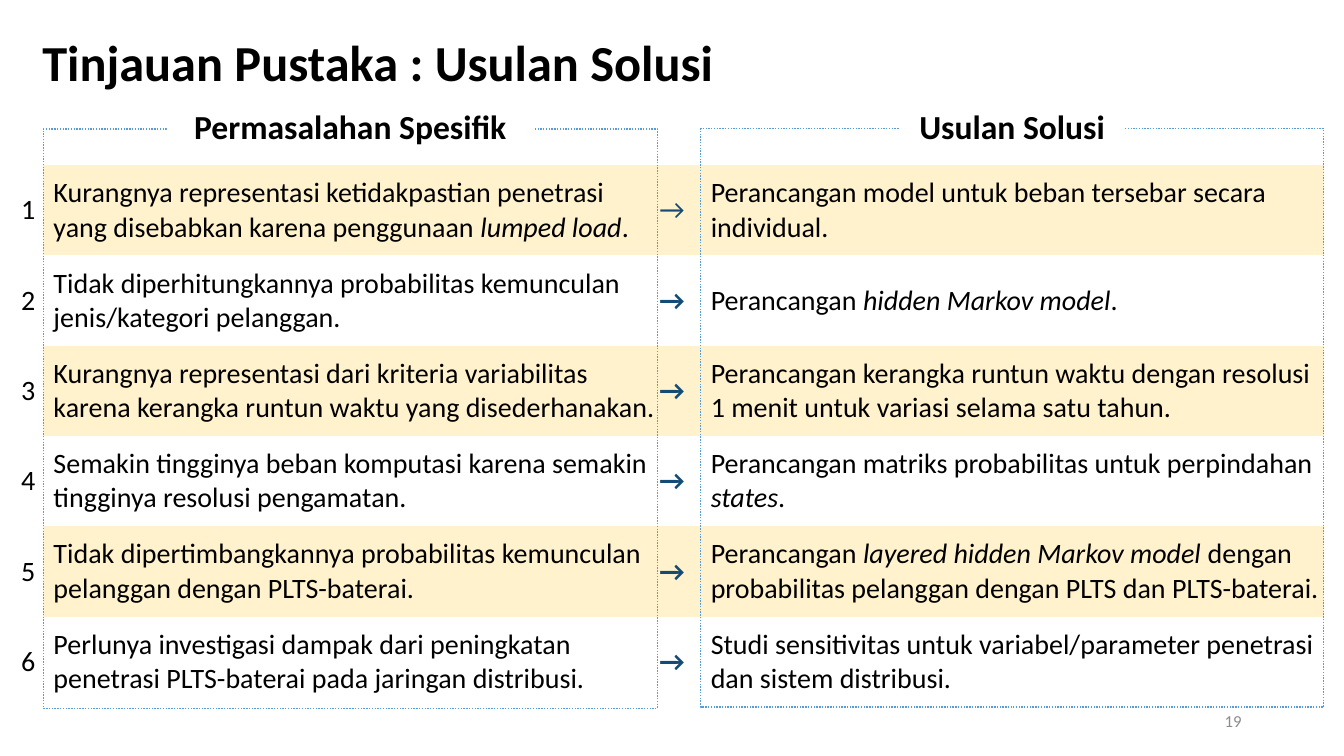
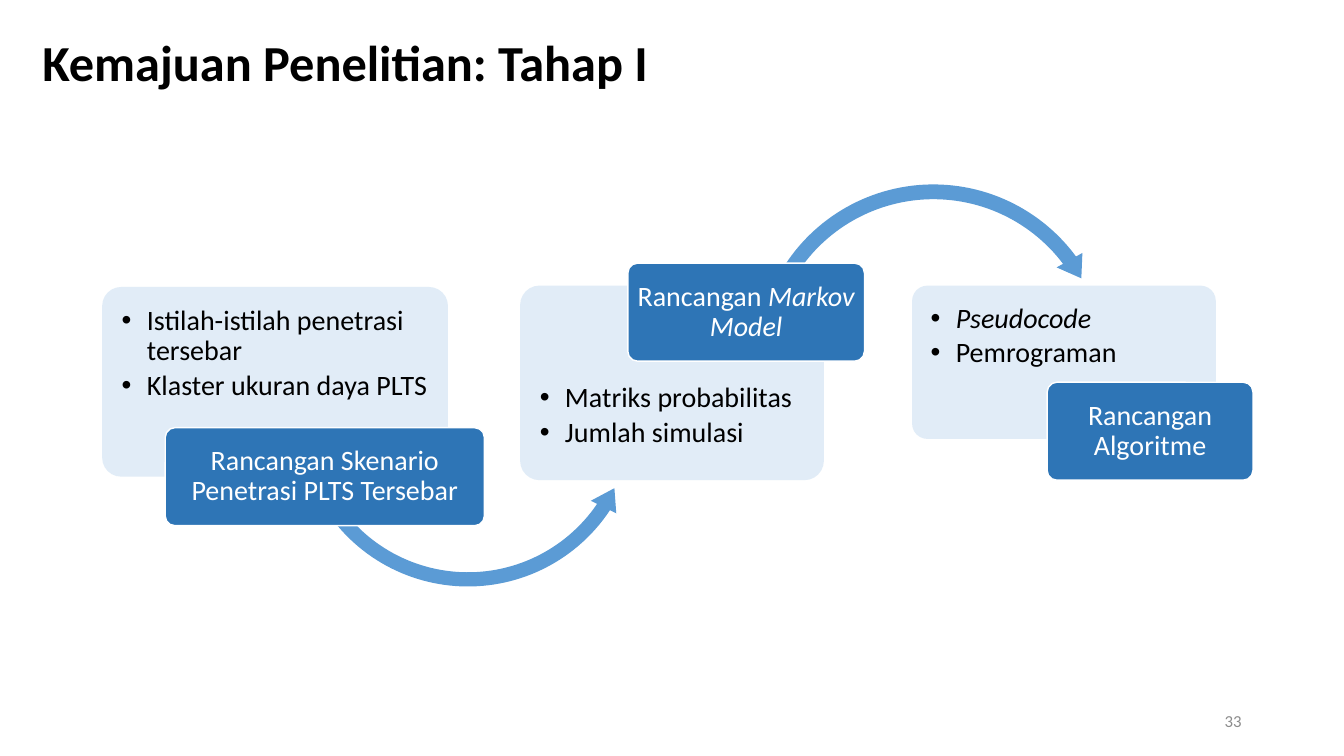
from lxml.etree import SubElement
from pptx import Presentation
from pptx.dml.color import RGBColor
from pptx.enum.dml import MSO_LINE
from pptx.enum.shapes import MSO_SHAPE as Form
from pptx.enum.text import MSO_ANCHOR as Anchor, MSO_AUTO_SIZE as Fit, PP_ALIGN as Align
from pptx.oxml.ns import qn
from pptx.util import Pt

FONT = "Calibri"
BLACK, WHITE, GREY = "000000", "FFFFFF", "8C8C8C"
BLUE, DEEP, PALE = "5B9BD5", "2E75B6", "DEEBF7"
NAVY, CREAM = "134B74", "FFF2CC"
NO_GRID = "{2D5ABB26-0587-4C30-8999-92F81FD0307C}"

# Asterisks enclose italic words.
PAIRS = [
    ("Kurangnya representasi ketidakpastian penetrasi yang disebabkan karena "
     "penggunaan *lumped load*.",
     "Perancangan model untuk beban tersebar secara individual."),
    ("Tidak diperhitungkannya probabilitas kemunculan jenis/kategori pelanggan.",
     "Perancangan *hidden Markov model*."),
    ("Kurangnya representasi dari kriteria variabilitas karena kerangka runtun "
     "waktu yang disederhanakan.",
     "Perancangan kerangka runtun waktu dengan resolusi 1 menit untuk variasi "
     "selama satu tahun."),
    ("Semakin tingginya beban komputasi karena semakin tingginya resolusi pengamatan.",
     "Perancangan matriks probabilitas untuk perpindahan *states*."),
    ("Tidak dipertimbangkannya probabilitas kemunculan pelanggan dengan PLTS-baterai.",
     "Perancangan *layered hidden Markov model* dengan probabilitas pelanggan "
     "dengan PLTS dan PLTS-baterai."),
    ("Perlunya investigasi dampak dari peningkatan penetrasi PLTS-baterai pada "
     "jaringan distribusi.",
     "Studi sensitivitas untuk variabel/parameter penetrasi dan sistem distribusi."),
]


def rgb(code):
    return RGBColor.from_string(code)


def paint(item, code, alpha=None):
    """Fill a shape or cell; None leaves it clear, alpha is a percentage."""
    if code is None:
        item.fill.background()
        return
    item.fill.solid()
    item.fill.fore_color.rgb = rgb(code)
    if alpha:
        tint = item.element.spPr.find(".//" + qn("a:srgbClr"))
        SubElement(tint, qn("a:alpha"), val=str(alpha * 1000))


def bullet(para):
    props = para._p.get_or_add_pPr()
    props.set("marL", str(Pt(18)))
    props.set("indent", str(-Pt(18)))
    SubElement(props, qn("a:buFont"), typeface="Arial")
    SubElement(props, qn("a:buChar"), char="•")


def write(host, *lines, size=20, color=BLACK, bold=False, align=Align.LEFT,
          anchor=Anchor.MIDDLE, pad=(7.2, 3.6, 7.2, 3.6), lead=None, after=0,
          dots=False):
    """Put one paragraph per line into a shape or a table cell."""
    frame = host.text_frame
    frame.word_wrap = True
    box = host if hasattr(host, "margin_left") else frame
    box.vertical_anchor = anchor
    (box.margin_left, box.margin_top,
     box.margin_right, box.margin_bottom) = map(Pt, pad)
    for num, line in enumerate(lines):
        para = frame.add_paragraph() if num else frame.paragraphs[0]
        if dots:
            bullet(para)
        para.alignment = align
        para.space_after = Pt(after)
        if lead:
            para.line_spacing = lead
        for part, text in enumerate(line.split("*")):
            if text:
                run = para.add_run()
                run.text = text
                font = run.font
                font.name, font.size = FONT, Pt(size)
                font.bold, font.italic = bold, part % 2 == 1
                font.color.rgb = rgb(color)


def shape(slide, form, area, fill=None, edge=None, alpha=None, adjust=()):
    item = slide.shapes.add_shape(form, *map(Pt, area))
    item.shadow.inherit = False
    paint(item, fill, alpha)
    if edge:
        item.line.color.rgb = rgb(edge)
        item.line.width = Pt(1)
    else:
        item.line.fill.background()
    for num, value in enumerate(adjust):
        item.adjustments[num] = value
    return item


def start(deck, title, number):
    """Add a slide with its title and page number."""
    slide = deck.slides.add_slide(deck.slide_layouts[5])
    head = slide.shapes.title
    head.left, head.top, head.width, head.height = map(Pt, (23, 15, 912, 63))
    head.text_frame.auto_size = Fit.NONE
    write(head, title, size=36, bold=True, lead=0.9)
    page = slide.shapes.add_textbox(*map(Pt, (678, 500.5, 216, 29)))
    write(page, str(number), size=12, color=GREY, align=Align.RIGHT)
    return slide


def grid(slide):
    widths, high = (29, 440, 29.5, 445.5), 64.5
    frame = slide.shapes.add_table(len(PAIRS), len(widths), Pt(2), Pt(118),
                                   Pt(sum(widths)), Pt(high * len(PAIRS)))
    frame.element.find(".//" + qn("a:tableStyleId")).text = NO_GRID
    table = frame.table
    table.first_row = table.horz_banding = False
    for col, width in zip(table.columns, widths):
        col.width = Pt(width)
    for num, (issue, answer) in enumerate(PAIRS):
        table.rows[num].height = Pt(high)
        cells = table.rows[num].cells
        for col, cell in enumerate(cells):
            paint(cell, CREAM if col and num % 2 == 0 else None)
        pad = (7.2, 3.6, 0, 3.6)
        write(cells[0], str(num + 1), align=Align.CENTER, pad=pad)
        write(cells[1], issue, pad=pad)
        write(cells[2], "→", color=NAVY, bold=num > 0, pad=(0, 3.6, 0, 3.6))
        write(cells[3], answer, pad=pad)


def panel(slide, left, width, high, label, span):
    """Draw a dotted frame with a heading centred on its top edge."""
    top, tall = 92, 41
    box = shape(slide, Form.RECTANGLE, (left, top, width, high), edge=BLUE)
    box.line.dash_style = MSO_LINE.ROUND_DOT
    area = (left + (width - span) / 2, top - tall / 2 - 2, span, tall)
    head = shape(slide, Form.ROUNDED_RECTANGLE, area, WHITE, adjust=[0.33])
    write(head, label, size=24, bold=True, align=Align.CENTER)


def card(slide, area, *items, top=10):
    box = shape(slide, Form.ROUNDED_RECTANGLE, area, PALE, alpha=90, adjust=[0.1])
    write(box, *items, anchor=Anchor.TOP, pad=(10, top, 4, 10), lead=0.9,
          after=3, dots=True)


def label(slide, left, top, width, text):
    box = shape(slide, Form.ROUNDED_RECTANGLE, (left, top, width, 70), DEEP,
                edge=WHITE, adjust=[0.1])
    write(box, text, color=WHITE, align=Align.CENTER, pad=(3, 2, 3, 2), lead=0.9)


def swirl(slide, form, left, top, side, turn, adjust):
    arrow = shape(slide, form, (left, top, side, side), BLUE, adjust=adjust)
    arrow.rotation = turn


def review(deck):
    slide = start(deck, "Tinjauan Pustaka : Usulan Solusi", 19)
    grid(slide)
    panel(slide, 31, 438.5, 414, "Permasalahan Spesifik", 262)
    panel(slide, 500.5, 445, 413, "Usulan Solusi", 161)


def progress(deck):
    slide = start(deck, "Kemajuan Penelitian: Tahap I", 33)
    card(slide, (73, 205, 247, 135.5),
         "Istilah-istilah penetrasi tersebar", "Klaster ukuran daya PLTS")
    swirl(slide, Form.LEFT_CIRCULAR_ARROW, 207.5, 170.5, 253.5, 349.4,
          (0.04, 4.58, 26.66, 94.57, 0.04))
    label(slide, 118, 305.5, 228, "Rancangan Skenario Penetrasi PLTS Tersebar")
    card(slide, (371.5, 204, 217, 139),
         "Matriks probabilitas", "Jumlah simulasi", top=66)
    swirl(slide, Form.CIRCULAR_ARROW, 535, 126.5, 263.5, 15.6,
          (0.04, 4.39, 184.64, 116.54, 0.04))
    label(slide, 448.5, 188, 169, "Rancangan *Markov Model*")
    card(slide, (651.5, 204, 217, 109.5), "*Pseudocode*", "Pemrograman")
    label(slide, 748, 273, 147, "Rancangan Algoritme")


def main():
    deck = Presentation()
    deck.slide_width, deck.slide_height = Pt(960), Pt(540)
    review(deck)
    progress(deck)
    deck.save("out.pptx")


if __name__ == "__main__":
    main()
